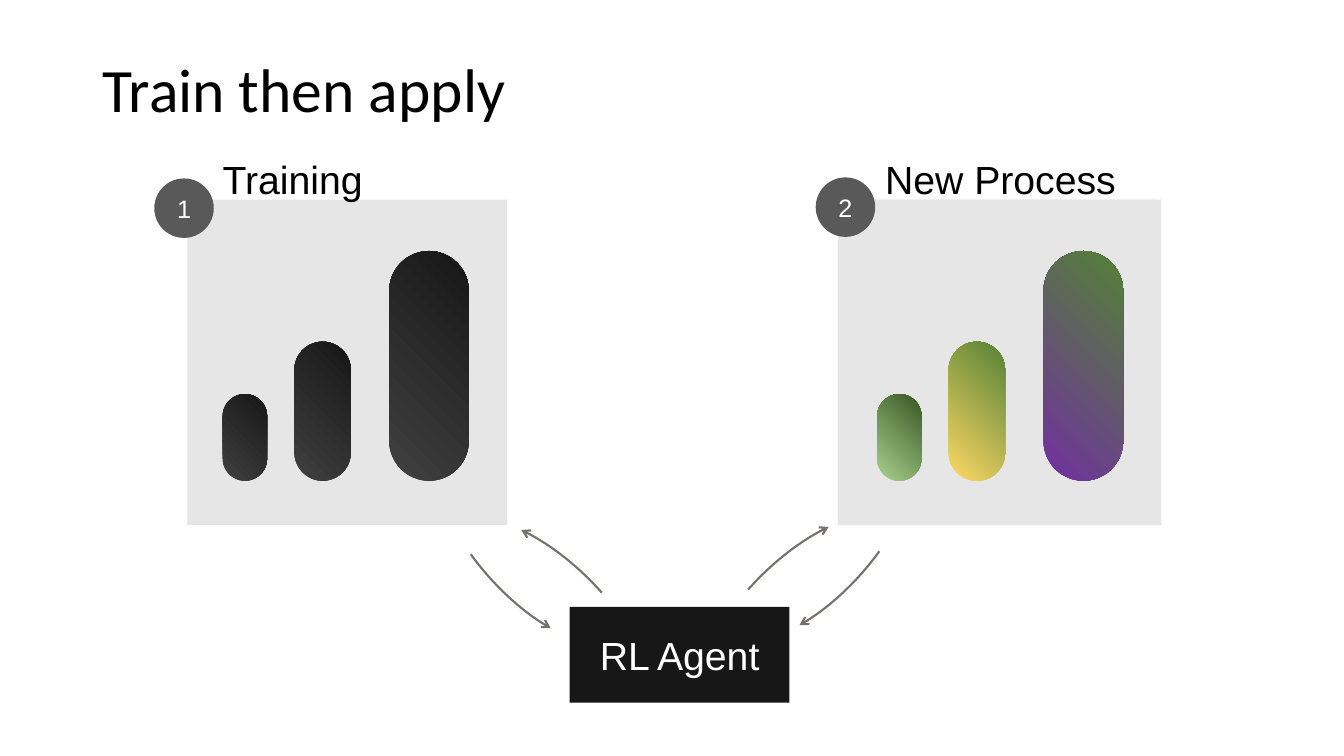
from dataclasses import dataclass

import lxml.etree
import pptx
import pptx.dml.color
import pptx.enum.shapes
import pptx.enum.text
import pptx.oxml.ns
import pptx.util

EMU_PER_PX = 9144  # 100 px to the inch
SHAPES = pptx.enum.shapes.MSO_SHAPE
ALIGN = pptx.enum.text.PP_ALIGN
ANCHOR = pptx.enum.text.MSO_ANCHOR

PANEL_GREY, BADGE_GREY, ARROW_GREY = "E7E6E6", "595959", "767171"
DARK, BLACK, WHITE = "181717", "000000", "FFFFFF"
DARK_FADE = (DARK, "404040")
PANEL_TOP, PANEL_WIDTH, PANEL_HEIGHT = 198, 317, 323
BAR_BOTTOM = 477
BADGE_SIZE = 59


@dataclass(frozen=True)
class Bar:
    offset: int
    width: int
    height: int


@dataclass(frozen=True)
class Stage:
    number: str
    heading: str
    heading_left: int
    heading_width: int
    panel_lefts: tuple[int, ...]
    bars_left: int
    bar_fades: tuple[tuple[str, str], ...]
    badge_left: int
    badge_top: int


@dataclass(frozen=True)
class Arrow:
    left: int
    top: int
    rotation: float
    start: float
    flipped: bool = False


BARS = (Bar(0, 44, 86), Bar(71, 56, 138), Bar(165, 79, 228))
STAGES = (
    Stage("1", "Training", 211, 266, (186,), 221, (DARK_FADE,) * 3, 153, 177),
    Stage("2", "New Process", 868, 287, (831, 835), 870,
          (("385723", "A9D18E"), ("548235", "FFD966"), ("548235", "7030A0")),
          809, 176),
)
ARROWS = (
    Arrow(674, 554, 316.4, 145.21),
    Arrow(699, 492, 132.2, 141.26),
    Arrow(429, 557, 43.6, 145.21, flipped=True),
    Arrow(404, 495, 227.8, 141.26, flipped=True),
)
ARROW_WIDTH, ARROW_HEIGHT, ARROW_END = 236, 95, 200.65


def px(length: int) -> pptx.util.Emu:
    return pptx.util.Emu(length * EMU_PER_PX)


def color(hex_value: str) -> pptx.dml.color.RGBColor:
    return pptx.dml.color.RGBColor.from_string(hex_value)


def add_shape(slide, kind, left: int, top: int, width: int, height: int,
              fill: str | None = None):
    """Add a preset shape with no outline or shadow."""
    shape = slide.shapes.add_shape(kind, px(left), px(top), px(width), px(height))
    shape.shadow.inherit = False
    shape.line.fill.background()
    if fill is None:
        shape.fill.background()
    else:
        shape.fill.solid()
        shape.fill.fore_color.rgb = color(fill)
    return shape


def write_text(shape, text: str, *, size: int, font: str = "Arial",
               text_color: str = BLACK, align=ALIGN.LEFT, anchor=ANCHOR.TOP,
               line_spacing: float = 1.0) -> None:
    frame = shape.text_frame
    frame.word_wrap = True
    frame.vertical_anchor = anchor
    paragraph = frame.paragraphs[0]
    paragraph.alignment = align
    paragraph.line_spacing = line_spacing
    run = paragraph.add_run()
    run.text = text
    run.font.size = pptx.util.Pt(size)
    run.font.name = font
    run.font.color.rgb = color(text_color)


def add_label(slide, text: str, left: int, top: int, width: int, height: int,
              **text_format) -> None:
    box = slide.shapes.add_textbox(px(left), px(top), px(width), px(height))
    write_text(box, text, **text_format)


def flip_horizontally(shape) -> None:
    shape._element.spPr.get_or_add_xfrm().set("flipH", "1")


def fade_from_top_right(shape, colors: tuple[str, str]) -> None:
    qn = pptx.oxml.ns.qn
    shape.fill.gradient()
    for stop, hex_value in zip(shape.fill.gradient_stops, colors):
        stop.color.rgb = color(hex_value)
    gradient = shape._element.spPr.find(qn("a:gradFill"))
    gradient.remove(gradient.find(qn("a:lin")))
    circle = lxml.etree.SubElement(gradient, qn("a:path"), {"path": "circle"})
    lxml.etree.SubElement(circle, qn("a:fillToRect"), {"l": "100000", "b": "100000"})


def add_bar(slide, bar: Bar, bars_left: int, colors: tuple[str, str]) -> None:
    shape = add_shape(slide, SHAPES.ROUNDED_RECTANGLE, bars_left + bar.offset,
                      BAR_BOTTOM - bar.height, bar.width, bar.height)
    shape.adjustments[0] = 0.5
    flip_horizontally(shape)
    fade_from_top_right(shape, colors)


def add_stage(slide, stage: Stage) -> None:
    for left in stage.panel_lefts:
        add_shape(slide, SHAPES.RECTANGLE, left, PANEL_TOP, PANEL_WIDTH,
                  PANEL_HEIGHT, PANEL_GREY)
    for bar, colors in zip(BARS, stage.bar_fades):
        add_bar(slide, bar, stage.bars_left, colors)
    add_label(slide, stage.heading, stage.heading_left, 149,
              stage.heading_width, 57, size=28)
    badge = add_shape(slide, SHAPES.OVAL, stage.badge_left, stage.badge_top,
                      BADGE_SIZE, BADGE_SIZE, BADGE_GREY)
    write_text(badge, stage.number, size=18, text_color=WHITE,
               align=ALIGN.CENTER, anchor=ANCHOR.MIDDLE)


def add_arrow(slide, arrow: Arrow) -> None:
    shape = add_shape(slide, SHAPES.ARC, arrow.left, arrow.top,
                      ARROW_WIDTH, ARROW_HEIGHT)
    shape.adjustments[0] = arrow.start
    shape.adjustments[1] = ARROW_END
    shape.rotation = arrow.rotation
    if arrow.flipped:
        flip_horizontally(shape)
    shape.line.color.rgb = color(ARROW_GREY)
    shape.line.width = pptx.util.Pt(1.5)
    lxml.etree.SubElement(shape.line._get_or_add_ln(),
                          pptx.oxml.ns.qn("a:tailEnd"), {"type": "arrow"})


def main() -> None:
    presentation = pptx.Presentation()
    presentation.slide_width = px(1333)
    presentation.slide_height = px(750)
    slide = presentation.slides.add_slide(presentation.slide_layouts[6])

    for stage in STAGES:
        add_stage(slide, stage)
    agent = add_shape(slide, SHAPES.RECTANGLE, 565, 602, 218, 95, DARK)
    write_text(agent, "RL Agent", size=28, text_color=WHITE,
               align=ALIGN.CENTER, anchor=ANCHOR.MIDDLE)
    for arrow in ARROWS:
        add_arrow(slide, arrow)
    add_label(slide, "Train then apply", 92, 19, 1150, 145, size=44,
              font="Calibri", anchor=ANCHOR.MIDDLE, line_spacing=0.9)

    presentation.save("out.pptx")


if __name__ == "__main__":
    main()
